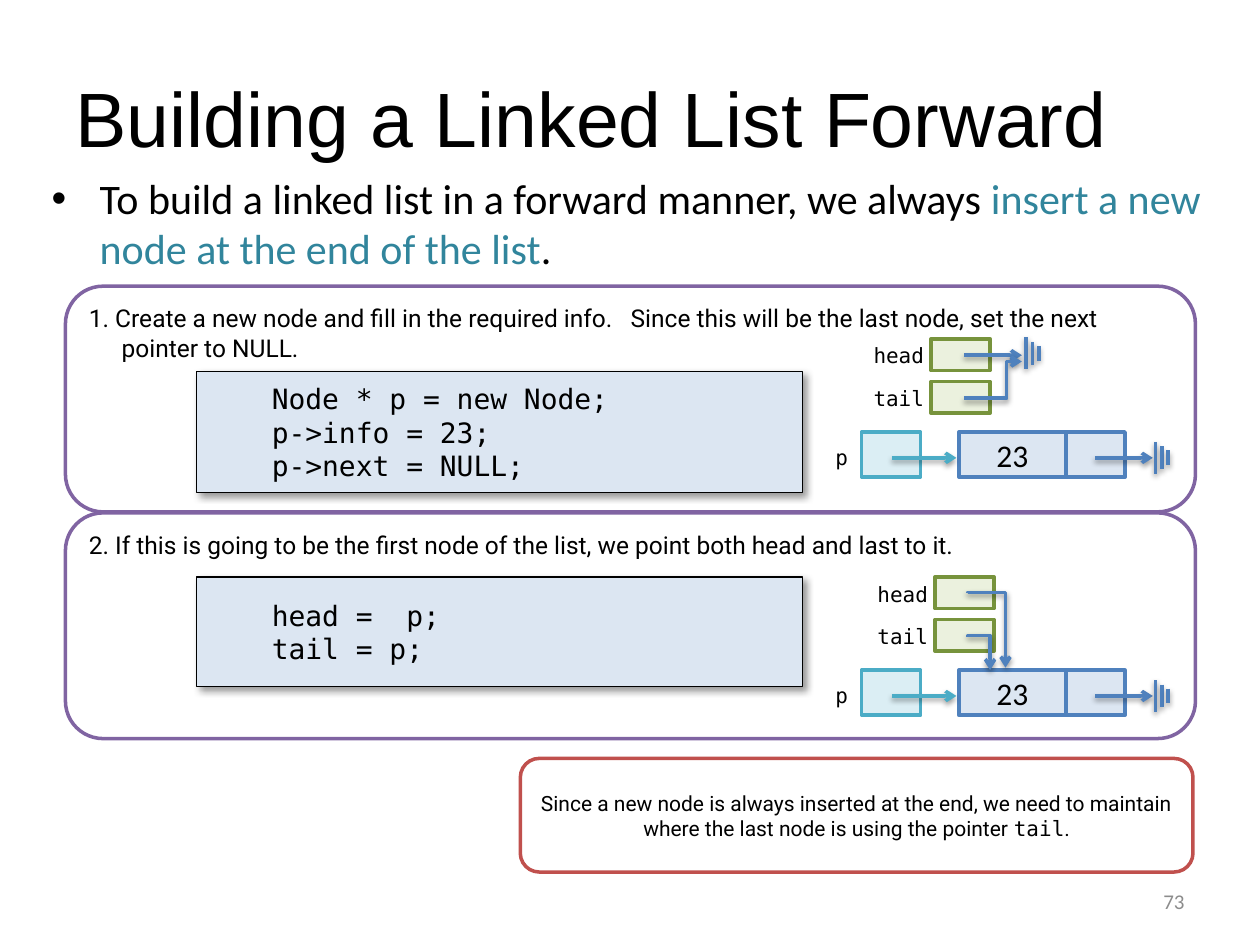
from lxml import etree
from pptx import Presentation
from pptx.dml.color import RGBColor
from pptx.enum.shapes import MSO_CONNECTOR, MSO_SHAPE
from pptx.enum.text import MSO_ANCHOR, MSO_AUTO_SIZE, PP_ALIGN
from pptx.oxml.ns import qn
from pptx.util import Cm, Pt

RECT, ROUND = MSO_SHAPE.RECTANGLE, MSO_SHAPE.ROUNDED_RECTANGLE
LINE, ELBOW = MSO_CONNECTOR.STRAIGHT, MSO_CONNECTOR.ELBOW
TOP, MID = MSO_ANCHOR.TOP, MSO_ANCHOR.MIDDLE
LEFT, MIDST, RIGHT = PP_ALIGN.LEFT, PP_ALIGN.CENTER, PP_ALIGN.RIGHT
GROW = MSO_AUTO_SIZE.SHAPE_TO_FIT_TEXT

MONO, BODY, SANS = "DejaVu Sans Mono", "Calibri", "Roboto"
BLACK, WHITE, GREY = "000000", "FFFFFF", "8C8C8C"
BLUE, PALE, TEAL, AQUA = "4F81BD", "DCE6F2", "4BACC6", "DBEEF4"
GREEN, LIME, VIOLET, RED, DEEP = "77933C", "EBF1DE", "8064A2", "C0504D", "31859C"
CELL = 1.19


def color(text):
    return RGBColor.from_string(text)


def shade(shape, alpha, blur, dist, angle):
    """Give a shape or connector an outer shadow; sizes in points."""
    props = shape._element.spPr
    fx = props.find(qn("a:effectLst"))
    if fx is None:
        fx = etree.SubElement(props, qn("a:effectLst"))
    shadow = etree.SubElement(
        fx, qn("a:outerShdw"), blurRad=str(Pt(blur)), dist=str(Pt(dist)),
        dir=str(angle * 60000), rotWithShape="0")
    tint = etree.SubElement(shadow, qn("a:srgbClr"), val=BLACK)
    etree.SubElement(tint, qn("a:alpha"), val=str(alpha * 1000))


def indent(para, left, first):
    props = para._p.get_or_add_pPr()
    props.set("marL", str(Cm(left)))
    props.set("indent", str(Cm(first)))
    return props


class Board:
    """Holds the slide and the style of its parts; lengths in cm."""

    def __init__(self, slide):
        self.slide = slide
        self.shapes = slide.shapes

    def run(self, para, text, size, font, hue=BLACK):
        run = para.add_run()
        run.text = text
        run.font.size, run.font.name = Pt(size), font
        run.font.color.rgb = color(hue)

    def title(self, text, x, y, w, h):
        head = self.shapes.title
        head.left, head.top, head.width, head.height = map(Cm, (x, y, w, h))
        head.text_frame.vertical_anchor = MID
        para = head.text_frame.paragraphs[0]
        para.alignment = LEFT
        self.run(para, text, 44, "Arial")

    def text(self, x, y, w, h, anchor=TOP, align=LEFT, wrap=True):
        """Add a text box and return its first paragraph."""
        frame = self.shapes.add_textbox(*map(Cm, (x, y, w, h))).text_frame
        frame.word_wrap, frame.vertical_anchor = wrap, anchor
        if not wrap:
            frame.auto_size = GROW
        frame.paragraphs[0].alignment = align
        return frame.paragraphs[0]

    def label(self, text, x, y, w):
        self.run(self.text(x, y, w, 0.76, wrap=False), text, 12, MONO)

    def box(self, x, y, w, h, fill, edge, kind=RECT, width=2, anchor=MID, align=LEFT):
        shape = self.shapes.add_shape(kind, *map(Cm, (x, y, w, h)))
        shape.shadow.inherit = False
        shape.fill.solid()
        shape.fill.fore_color.rgb = color(fill)
        shape.line.color.rgb = color(edge)
        shape.line.width = Pt(width)
        shape.text_frame.vertical_anchor = anchor
        shape.text_frame.paragraphs[0].alignment = align
        return shape

    def panel(self, y, text):
        shape = self.box(1.32, y, 22.78, 4.55, WHITE, VIOLET, ROUND, anchor=TOP)
        para = shape.text_frame.paragraphs[0]
        indent(para, 0.66, -0.66)
        self.run(para, text, 14, SANS)

    def code(self, y, h, rows):
        shape = self.box(3.96, y, 12.22, h, PALE, BLACK, width=0.75)
        shade(shape, 40, 4, 3, 45)
        frame = shape.text_frame
        for i, row in enumerate(rows):
            para = frame.add_paragraph() if i else frame.paragraphs[0]
            para.alignment = LEFT
            indent(para, 1.27, 0)
            self.run(para, row, 16, MONO)

    def line(self, x1, y1, x2, y2, hue=BLUE, kind=LINE, arrow=True):
        link = self.shapes.add_connector(kind, *map(Cm, (x1, y1, x2, y2)))
        link.line.color.rgb = color(hue)
        link.line.width = Pt(2)
        if arrow:
            ln = link._element.spPr.find(qn("a:ln"))
            etree.SubElement(ln, qn("a:tailEnd"), type="arrow")
        shade(link, 38, 3.1, 1.6, 90)
        return link

    def bend(self, x1, y1, x2, y2, share, down=False):
        """Add an elbow arrow; with down, it ends going downwards."""
        if down:
            mx, my = (x1 + x2) / 2, (y1 + y2) / 2
            dx, dy = (y2 - y1) / 2, (x2 - x1) / 2
            x1, y1, x2, y2 = mx + dx, my - dy, mx - dx, my + dy
        link = self.line(x1, y1, x2, y2, kind=ELBOW)
        props = link._element.spPr
        if down:
            props.find(qn("a:xfrm")).set("rot", str(270 * 60000))
        geom = props.find(qn("a:prstGeom"))
        guides = geom.find(qn("a:avLst"))
        if guides is None:
            guides = etree.SubElement(geom, qn("a:avLst"))
        etree.SubElement(guides, qn("a:gd"), name="adj1", fmla=f"val {round(share * 100000)}")

    def ground(self, x, y):
        """Add the three bars that mark a null pointer."""
        bars = []
        for i, half in enumerate((0.32, 0.23, 0.15)):
            at = x + i * 0.13
            bars.append(self.line(at, y - half, at, y + half, arrow=False))
        self.shapes.add_group_shape(bars)

    def node(self, y):
        """Add pointer p, the node it points to and the null mark."""
        info = self.box(19.33, y, 2.16, 0.91, PALE, BLUE, align=MIDST)
        self.run(info.text_frame.paragraphs[0], "23", 18, BODY)
        self.shapes.add_group_shape([info, self.box(21.49, y, CELL, 0.91, PALE, BLUE)])
        self.box(17.37, y, CELL, 0.91, AQUA, TEAL)
        self.label("p", 16.59, y + 0.12, 0.76)
        mid = y + 0.52
        self.line(17.98, mid, 19.28, mid, TEAL)
        self.line(22.07, mid, 23.24, mid)
        self.ground(23.29, mid)

    def ends(self, x, y):
        """Add the head and tail cells with their names."""
        for i, name in enumerate(("head", "tail")):
            top = y + i * 0.86
            self.box(x, top, CELL, 0.64, LIME, GREEN)
            self.label(name, x - 1.41, top - 0.04, 1.55)


def main():
    deck = Presentation()
    deck.slide_width, deck.slide_height = Cm(25.4), Cm(19.05)
    board = Board(deck.slides.add_slide(deck.slide_layouts[5]))
    board.title("Building a Linked List Forward", 1.27, 0.76, 22.86, 3.18)

    para = board.text(0.79, 3.35, 23.85, 13.94)
    para.space_before = Pt(4.8)
    props = indent(para, 0.97, -0.97)
    etree.SubElement(props, qn("a:buFont"), typeface="Arial")
    etree.SubElement(props, qn("a:buChar"), char="•")
    for text, hue in (("To build a linked list in a forward manner, we always ", BLACK),
                      ("insert a new node at the end of the list", DEEP),
                      (".", BLACK)):
        board.run(para, text, 24, BODY, hue)

    board.panel(10.34, "2. If this is going to be the first node of the list, "
                "we point both head and last to it.")
    board.panel(5.77, "1. Create a new node and fill in the required info.   "
                "Since this will be the last node, set the next pointer to NULL.")
    board.code(7.49, 2.44, ("Node * p = new Node;", "p->info = 23;", "p->next = NULL;"))
    board.code(11.63, 2.21, ("head =  p;", "tail = p;"))

    board.node(8.71)
    board.ends(18.77, 6.83)
    board.line(19.43, 7.16, 20.6, 7.16)
    board.ground(20.68, 7.12)
    board.bend(19.43, 8.03, 20.6, 7.29, 0.74)

    board.node(13.51)
    board.ends(18.85, 11.63)
    board.bend(19.51, 12.82, 19.96, 13.51, -0.01, down=True)
    board.bend(19.51, 11.96, 20.27, 13.46, -0.01, down=True)

    note = board.box(10.49, 15.29, 13.56, 2.29, WHITE, RED, ROUND, align=MIDST)
    for text, font in (("Since a new node is always inserted at the end, we need to "
                        "maintain where the last node is using the pointer ", SANS),
                       ("tail", MONO), (".", SANS)):
        board.run(note.text_frame.paragraphs[0], text, 12, font)
    board.run(board.text(18.21, 17.65, 5.92, 1.02, MID, RIGHT), "73", 12, BODY, GREY)
    deck.save("out.pptx")


if __name__ == "__main__":
    main()
